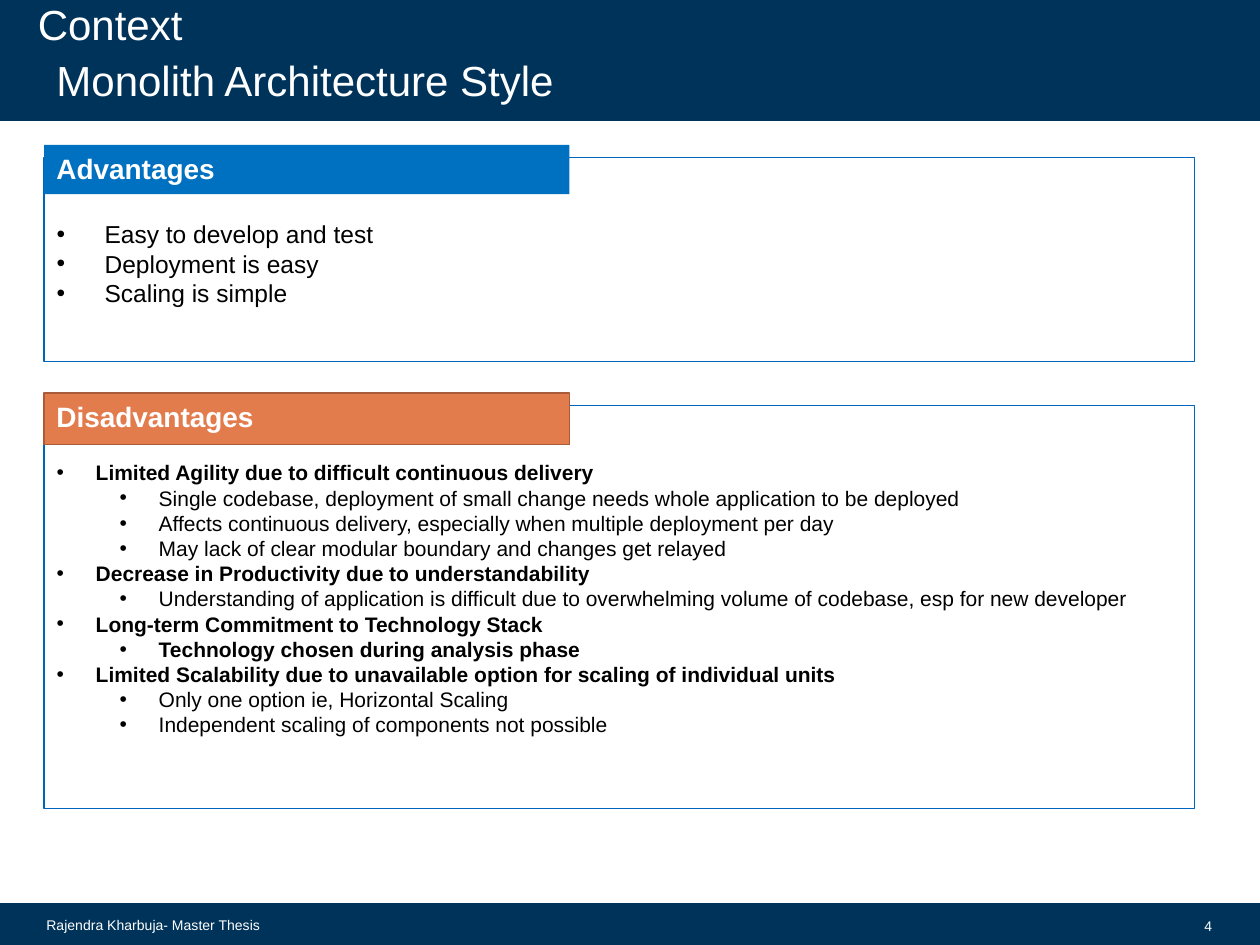
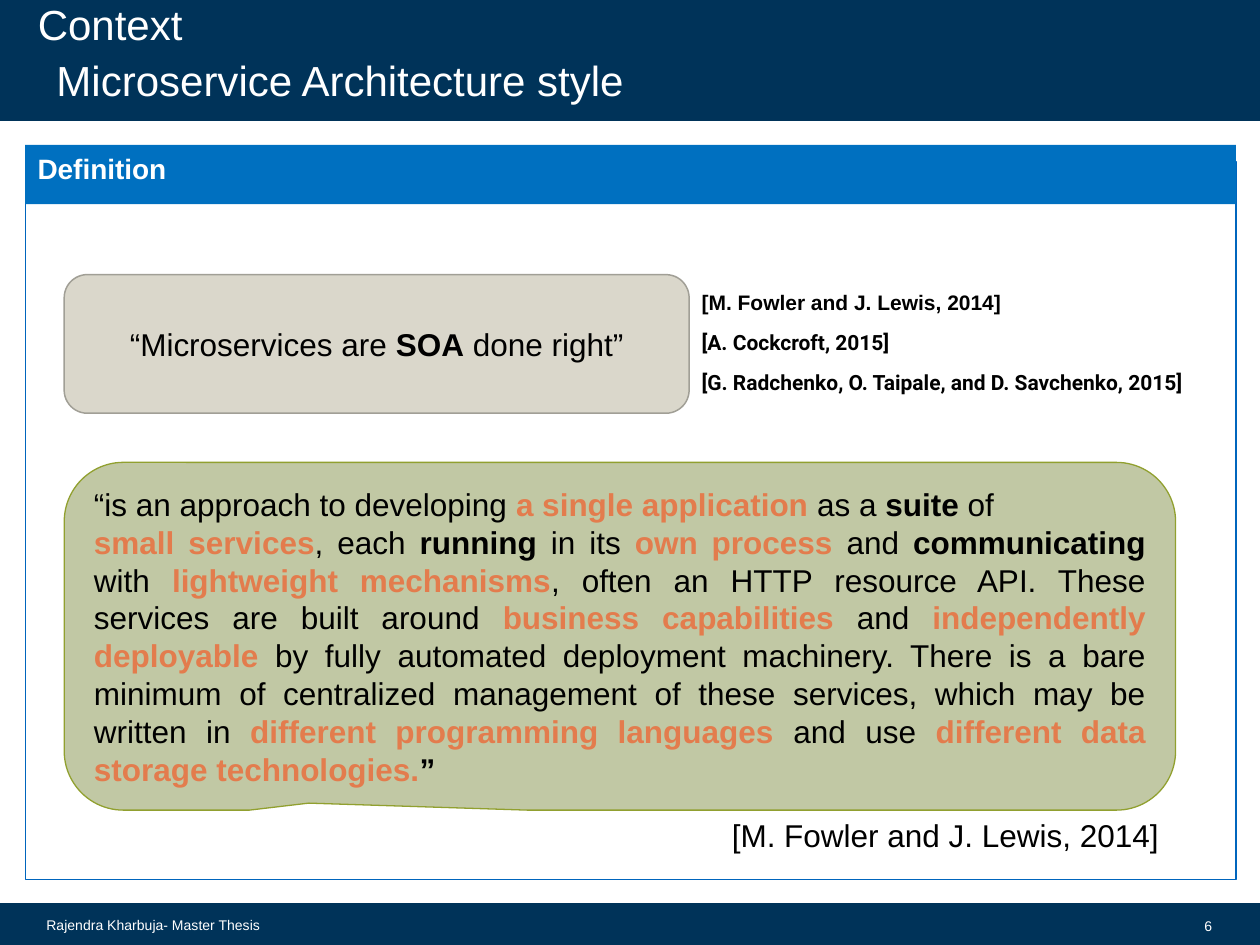
from lxml.etree import SubElement
from pptx import Presentation
from pptx.dml.color import RGBColor
from pptx.enum.shapes import MSO_SHAPE
from pptx.enum.text import MSO_ANCHOR, MSO_AUTO_SIZE, PP_ALIGN
from pptx.oxml.ns import qn
from pptx.util import Inches, Pt

NAVY = RGBColor(0x00, 0x33, 0x59)
BLUE = RGBColor(0x00, 0x70, 0xC0)
EDGE = RGBColor(0x00, 0x65, 0xBD)
CORAL = RGBColor(0xE3, 0x7C, 0x4D)
RUST = RGBColor(0xA8, 0x5C, 0x39)
SAGE = RGBColor(0xC1, 0xC8, 0xA4)
OLIVE = RGBColor(0x91, 0xA0, 0x2F)
SAND = RGBColor(0xDA, 0xD7, 0xCB)
STONE = RGBColor(0xA1, 0x9F, 0x96)
WHITE = RGBColor(0xFF, 0xFF, 0xFF)
BLACK = RGBColor(0x00, 0x00, 0x00)

FONT = "Arial"
AUTHOR = "Rajendra Kharbuja- Master Thesis"
SOURCE = "[M. Fowler and J. Lewis, 2014]"

PROS = ["Easy to develop and test", "Deployment is easy", "Scaling is simple"]
CONS = [
    (0, True, "Limited Agility due to difficult continuous delivery"),
    (1, False, "Single codebase, deployment of small change needs whole application to be deployed"),
    (1, False, "Affects continuous delivery, especially when multiple deployment per day"),
    (1, False, "May lack of clear modular boundary and changes get relayed"),
    (0, True, "Decrease in Productivity due to understandability"),
    (1, False, "Understanding of application is difficult due to overwhelming volume "
               "of codebase, esp for new developer"),
    (0, True, "Long-term Commitment to Technology Stack"),
    (1, True, "Technology chosen during analysis phase"),
    (0, True, "Limited Scalability due to unavailable option for scaling of individual units"),
    (1, False, "Only one option ie, Horizontal Scaling"),
    (1, False, "Independent scaling of components not possible"),
]
CLAIM = ["“Microservices are |*SOA| done right”"]
QUOTE = [
    "“is an approach to developing |~a single application |as a |*suite| of ",
    "~small services|, each |*running| in its |~own process |and |*communicating| with "
    "|~lightweight mechanisms|, often an HTTP resource API. These services are built around "
    "|~business capabilities |and |~independently deployable |by fully automated deployment "
    "machinery. There is a bare minimum of centralized management of these services, which "
    "may be written in |~different programming languages |and use "
    "|~different data storage technologies.|*”",
]
CITES = [(SOURCE, FONT), ("[A. Cockcroft, 2015]", "Roboto"),
         ("[G. Radchenko, O. Taipale, and D. Savchenko, 2015]", "Roboto")]


def style(run, size, color=BLACK, bold=False, font=FONT):
    run.font.name = font
    run.font.size = Pt(size)
    run.font.bold = bold
    run.font.color.rgb = color


def place(shape, box):
    shape.left, shape.top, shape.width, shape.height = map(Inches, box)


def raise_up(shape):
    shape.element.getparent().append(shape.element)


def add_box(slide, box, fill=None, line=None, width=0.75, kind=MSO_SHAPE.RECTANGLE):
    shape = slide.shapes.add_shape(kind, *map(Inches, box))
    shape.shadow.inherit = False
    if fill is None:
        shape.fill.background()
    else:
        shape.fill.solid()
        shape.fill.fore_color.rgb = fill
    if line is None:
        shape.line.fill.background()
    else:
        shape.line.color.rgb = line
        shape.line.width = Pt(width)
    return shape


def add_text(slide, box, text, size, color=BLACK, bold=False, font=FONT,
             anchor=MSO_ANCHOR.TOP, align=PP_ALIGN.LEFT):
    shape = slide.shapes.add_textbox(*map(Inches, box))
    frame = shape.text_frame
    frame.word_wrap = True
    frame.vertical_anchor = anchor
    frame.text = text
    frame.paragraphs[0].alignment = align
    style(frame.paragraphs[0].runs[0], size, color, bold, font)
    return shape


def set_title(shape):
    frame = shape.text_frame
    frame.word_wrap = True
    frame.auto_size = MSO_AUTO_SIZE.NONE
    frame.vertical_anchor = MSO_ANCHOR.BOTTOM
    frame.margin_top = frame.margin_bottom = 0
    para = frame.paragraphs[0]
    para.alignment = PP_ALIGN.LEFT
    style(para.runs[0], 24, WHITE)


def add_frame(slide, topic, page):
    for top, height in ((7.18, 0.32), (0, 0.95)):
        add_box(slide, (0, top, 10, height), NAVY, NAVY, 1.35)
    title = slide.shapes.title
    raise_up(title)
    title.text_frame.text = "Context"
    place(title, (0.2, 0, 8.24, 0.39))
    set_title(title)
    set_title(add_text(slide, (0.35, 0.44, 8.24, 0.39), topic, 24))
    add_text(slide, (0.27, 7.18, 2.3, 0.32), AUTHOR, 8, WHITE, anchor=MSO_ANCHOR.MIDDLE)
    add_text(slide, (9.22, 7.19, 0.5, 0.32), str(page), 8, WHITE,
             anchor=MSO_ANCHOR.MIDDLE, align=PP_ALIGN.RIGHT)


def add_panel(slide, box, drop, head, label, fill, line=None):
    left, top, width, height = box
    add_box(slide, (left, top + drop, width, height - drop), line=EDGE)
    bar = add_box(slide, (left, top, *head), fill, line, 0.85)
    frame = bar.text_frame
    frame.vertical_anchor = MSO_ANCHOR.TOP
    frame.text = label
    para = frame.paragraphs[0]
    para.alignment = PP_ALIGN.LEFT
    para.space_before = Pt(3.2)
    style(para.runs[0], 16, WHITE, True)


def set_bullet(para, indent):
    props = para._p.get_or_add_pPr()
    props.set("marL", str(Inches(indent + 0.5 * para.level)))
    props.set("indent", str(Inches(-indent)))
    SubElement(props, qn("a:buFont")).set("typeface", FONT)
    SubElement(props, qn("a:buChar")).set("char", "•")


def fill_list(shape, box, items, size, indent):
    raise_up(shape)
    place(shape, box)
    frame = shape.text_frame
    frame.auto_size = MSO_AUTO_SIZE.NONE
    frame.vertical_anchor = MSO_ANCHOR.TOP
    frame.text = "\n".join(text for _, _, text in items)
    for para, (level, bold, _) in zip(frame.paragraphs, items):
        para.level = level
        para.space_before = Pt(0)
        set_bullet(para, indent)
        style(para.runs[0], size, bold=bold)


def fill_rich(shape, lines, align):
    frame = shape.text_frame
    frame.word_wrap = True
    frame.vertical_anchor = MSO_ANCHOR.MIDDLE
    for i, line in enumerate(lines):
        para = frame.add_paragraph() if i else frame.paragraphs[0]
        para.alignment = align
        for part in line.split("|"):
            run = para.add_run()
            run.text = part.lstrip("*~")
            style(run, 18, CORAL if part[0] == "~" else BLACK, part[0] in "*~")


def add_claim(slide, box):
    left, top, width, height = box
    card = add_box(slide, box, SAND, STONE, 0.85, MSO_SHAPE.ROUNDED_RECTANGLE)
    fill_rich(card, CLAIM, PP_ALIGN.CENTER)
    for i, (text, font) in enumerate(CITES):
        add_text(slide, (left + width, top + 0.07 + 0.315 * i, 4.3, 0.3),
                 text, 12, bold=True, font=font)


def add_quote(slide, box):
    left, top, width, height = box
    card = add_box(slide, box, SAGE, OLIVE, 0.75, MSO_SHAPE.ROUNDED_RECTANGULAR_CALLOUT)
    for i, value in enumerate((-0.28, 0.48, 0.17)):
        card.adjustments[i] = value
    fill_rich(card, QUOTE, PP_ALIGN.JUSTIFY)
    add_text(slide, (left + 5.2, top + height, 3.7, 0.4), SOURCE, 18)


def build_monolith(deck):
    slide = deck.slides.add_slide(deck.slide_layouts[3])
    pros, cons = list(slide.placeholders)[1:]
    add_frame(slide, "Monolith Architecture Style", 4)
    add_panel(slide, (0.35, 1.15, 9.13, 1.72), 0.1, (4.17, 0.39), "Advantages", BLUE)
    fill_list(pros, (0.35, 1.69, 9.13, 0.81),
              [(0, False, text) for text in PROS], 14, 0.38)
    add_panel(slide, (0.35, 3.12, 9.13, 3.3), 0.1, (4.17, 0.41), "Disadvantages", CORAL, RUST)
    fill_list(cons, (0.35, 3.6, 9.13, 2.3), CONS, 12, 0.31)


def build_micro(deck):
    slide = deck.slides.add_slide(deck.slide_layouts[5])
    add_frame(slide, "Microservice Architecture style", 6)
    add_panel(slide, (0.2, 1.15, 9.61, 5.83), 0.13, (9.61, 0.47), "Definition", BLUE)
    add_quote(slide, (0.51, 3.67, 8.82, 2.76))
    add_claim(slide, (0.51, 2.18, 4.96, 1.1))


def main():
    deck = Presentation()
    deck.slide_width = Inches(10)
    deck.slide_height = Inches(7.5)
    build_monolith(deck)
    build_micro(deck)
    deck.save("out.pptx")


if __name__ == "__main__":
    main()
